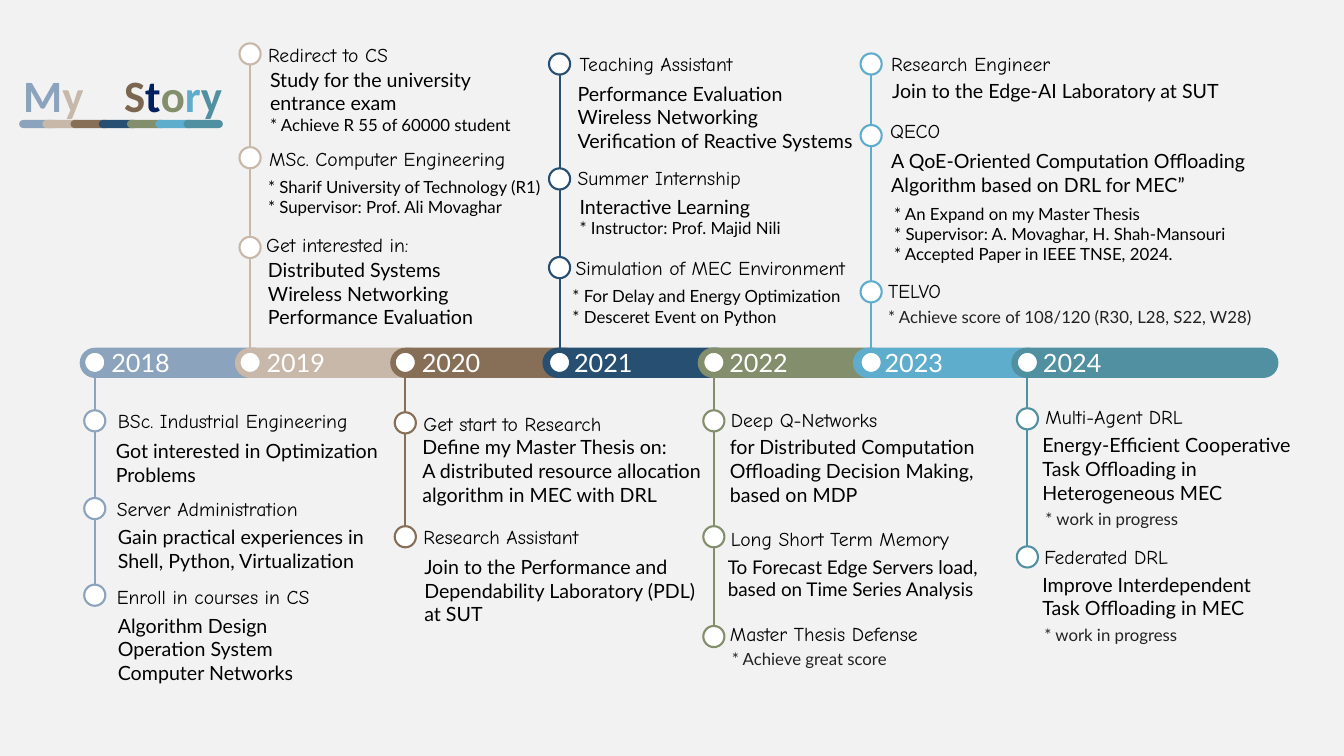
"""Build the "My Story" timeline slide."""
from itertools import pairwise
from pptx import Presentation
from pptx import util as u
from pptx.dml.color import RGBColor
from pptx.enum import shapes, text
from pptx.oxml import parse_xml

BACK, WHITE, BLACK, GREY = "F2F2F2", "FFFFFF", "000000", "222222"
TITLE = [("M", "8CA3BD"), ("y\t", "C7B8AA"), ("S", "7B6650"), ("t", "002060"),
         ("o", "838E6C"), ("r", "5FADCD"), ("y", "5190A1")]

# Year: name, colour, bar left, bar width, dot centre, events.
# Event: dot top, heading left, heading top, heading, bodies.
# Body: left, top, width, height, lines, and a size if not 14.
YEARS = [
    ("2018", "8CA3BD", 0.79, 1.89, 0.94, [
        (4.07, 1.07, 4.01, "BSc. Industrial Engineering", [
            (1.05, 4.31, 2.85, 0.57, ["Got interested in Optimization Problems"])]),
        (4.94, 1.06, 4.88, "Server Administration", [
            (1.07, 5.16, 2.75, 0.57,
             ["Gain practical experiences in Shell, Python, Virtualization"])]),
        (5.8, 1.06, 5.75, "Enroll in courses in CS", [
            (1.07, 6.04, 2.75, 0.81,
             ["Algorithm Design", "Operation System", "Computer Networks"])])]),
    ("2019", "C7B8AA", 2.33, 1.89, 2.48, [
        (0.43, 2.56, 0.38, "Redirect to CS", [
            (2.58, 0.62, 2.85, 0.77, ["Study for the university entrance exam",
                                      "* Achieve R 55 of 60000 student"])]),
        (1.46, 2.57, 1.41, "MSc. Computer Engineering", [
            (2.56, 1.7, 2.95, 0.5, ["* Sharif University of Technology (R1)",
                                    "* Supervisor: Prof. Ali Movaghar"])]),
        (2.35, 2.54, 2.26, "Get interested in:", [
            (2.56, 2.51, 2.27, 0.81, ["Distributed Systems", "Wireless Networking",
                                      "Performance Evaluation"])])]),
    ("2020", "876F57", 3.87, 1.89, 4.02, [
        (4.09, 4.1, 4.04, "Get start to Research", [
            (4.09, 4.27, 3.01, 0.81,
             ["Define my Master Thesis on:",
              "A distributed resource allocation algorithm in MEC with DRL"])]),
        (5.22, 4.1, 5.16, "Research Assistant", [
            (4.11, 5.46, 3.01, 0.81,
             ["Join to the Performance and Dependability Laboratory (PDL) at SUT"])])]),
    ("2021", "264F72", 5.38, 1.89, 5.55, [
        (0.53, 5.65, 0.47, "Teaching Assistant", [
            (5.63, 0.76, 2.94, 0.81, ["Performance Evaluation", "Wireless Networking",
                                      "Verification of Reactive Systems"])]),
        (1.67, 5.63, 1.6, "Summer Internship", [
            (5.65, 1.88, 2.89, 0.54, ["Interactive Learning",
                                      "* Instructor: Prof. Majid Nili"])]),
        (2.55, 5.61, 2.49, "Simulation of MEC Environment", [
            (5.58, 2.79, 2.97, 0.5, ["* For Delay and Energy Optimization",
                                     "* Desceret Event on Python"])])]),
    ("2022", "838E6C", 6.92, 1.89, 7.08, [
        (4.07, 7.15, 4, "Deep Q-Networks", [
            (7.14, 4.27, 2.89, 0.81,
             ["for Distributed Computation Offloading Decision Making,",
              "based on MDP"])]),
        (5.22, 7.15, 5.18, "Long Short Term Memory", [
            (7.12, 5.46, 2.84, 0.56,
             ["To Forecast Edge Servers load, based on Time Series Analysis"], 13.5)]),
        (6.21, 7.14, 6.12, "Master Thesis Defense", [
            (7.16, 6.39, 1.81, 0.3, ["* Achieve great score"])])]),
    ("2023", "5FADCD", 8.46, 1.89, 8.64, [
        (0.53, 8.74, 0.47, "Research Engineer", [
            (8.75, 0.73, 4.17, 0.34, ["Join to the Edge-AI Laboratory at SUT"])]),
        (1.24, 8.73, 1.13, "QECO", [
            (8.74, 1.43, 3.83, 0.57,
             ["A QoE-Oriented Computation Offloading Algorithm based on DRL for MEC”"]),
            (8.77, 1.97, 3.63, 0.71, ["* An Expand on my Master Thesis",
                                      "* Supervisor: A. Movaghar, H. Shah-Mansouri",
                                      "* Accepted Paper in IEEE TNSE, 2024."])]),
        (2.79, 8.71, 2.72, "TELVO", [
            (8.71, 2.99, 3.86, 0.3,
             ["* Achieve score of 108/120 (R30, L28, S22, W28)"])])]),
    ("2024", "5190A1", 10.03, 2.65, 10.19, [
        (4.05, 10.27, 3.97, "Multi-Agent DRL", [
            (10.24, 4.25, 3.01, 0.81,
             ["Energy-Efficient Cooperative Task Offloading in Heterogeneous MEC"]),
            (10.27, 5, 1.61, 0.3, ["* work in progress"])]),
        (5.42, 10.26, 5.36, "Federated DRL", [
            (10.24, 5.63, 2.33, 0.57, ["Improve Interdependent",
                                       "Task Offloading in MEC"]),
            (10.26, 6.15, 1.61, 0.3, ["* work in progress"])])]),
]
AXIS, DOT = 3.49, 0.21
EMPTY = '<a:effectLst xmlns:a="http://schemas.openxmlformats.org/drawingml/2006/main"/>'
KIND = shapes.MSO_SHAPE


def rgb(hue):
    return RGBColor.from_string(hue)


def inch(*nums):
    return [u.Inches(n) for n in nums]


def style(run, hue, **form):
    form["size"] = u.Pt(form["size"])
    for key, val in form.items():
        setattr(run.font, key, val)
    run.font.color.rgb = rgb(hue)


def draw(home, kind, box, hue, edge=None):
    shape = home.add_shape(kind, *inch(*box))
    shape.shadow.inherit = False
    shape.fill.solid()
    shape.fill.fore_color.rgb = rgb(hue)
    if edge:
        shape.line.color.rgb = rgb(edge)
        shape.line.width = u.Pt(1.5)
    else:
        shape.line.fill.background()
    if kind == KIND.ROUNDED_RECTANGLE:
        shape.adjustments[0] = 0.5
    return shape


def link(home, x, top, end, hue):
    line = home.add_connector(shapes.MSO_CONNECTOR.STRAIGHT, *inch(x, top, x, end))
    line.line.color.rgb = rgb(hue)
    line.line.width = u.Pt(1.5)
    line._element.spPr.append(parse_xml(EMPTY))


def write(home, box, lines, face, size=14):
    frame = home.add_textbox(*inch(*box)).text_frame
    frame.word_wrap = True
    frame.auto_size = text.MSO_AUTO_SIZE.SHAPE_TO_FIT_TEXT
    lone = len(lines) == 1 and lines[0].startswith("*")
    for i, line in enumerate(lines):
        para = frame.add_paragraph() if i else frame.paragraphs[0]
        run = para.add_run()
        run.text = line
        style(run, GREY if lone else BLACK, name=face,
              size=12 if line.startswith("*") else size)


def head(slide):
    title = slide.shapes.title
    spot = dict(zip(("left", "top", "width", "height"), inch(0.13, 0.62, 2.21, 1.18)))
    for key, val in spot.items():
        setattr(title, key, val)
    frame = title.text_frame
    frame.vertical_anchor = text.MSO_ANCHOR.TOP
    frame.auto_size = text.MSO_AUTO_SIZE.NONE
    para = frame.paragraphs[0]
    para.alignment = text.PP_ALIGN.LEFT
    for part, hue in TITLE:
        run = para.add_run()
        run.text = part
        style(run, hue, name="Calibri", size=32, bold=True)
    group = slide.shapes.add_group_shape()
    for i, (_, hue, *_) in enumerate(YEARS):
        left = max(0.19, 0.14 + 0.28 * i)
        draw(group.shapes, KIND.ROUNDED_RECTANGLE, (left, 1.19, 0.39, 0.08), hue)


def column(home, name, hue, left, wide, mid, events):
    bar = draw(home, KIND.ROUNDED_RECTANGLE, (left, 3.45, wide, 0.3), hue)
    frame = bar.text_frame
    frame.margin_left = u.Inches(0.27)
    frame.vertical_anchor = text.MSO_ANCHOR.MIDDLE
    para = frame.paragraphs[0]
    para.alignment = text.PP_ALIGN.LEFT
    run = para.add_run()
    run.text = name
    style(run, WHITE, name="Lato", size=18)
    tops = sorted([AXIS] + [event[0] for event in events])
    for top, end in pairwise(tops):
        link(home, mid, top + DOT, end, hue)
    for top in tops:
        draw(home, KIND.OVAL, (mid - DOT / 2, top, DOT, DOT), WHITE, hue)
    for _, x, y, label, bodies in events:
        write(home, (x, y, 0.35 + 0.1 * len(label), 0.34), [label], "Comic Neue")
        for *box, lines, size in [b if len(b) == 6 else (*b, 14) for b in bodies]:
            write(home, box, lines, "Lato", size)


def main():
    deck = Presentation()
    deck.slide_width, deck.slide_height = inch(13.33, 7.5)
    slide = deck.slides.add_slide(deck.slide_layouts[5])
    slide.background.fill.solid()
    slide.background.fill.fore_color.rgb = rgb(BACK)
    head(slide)
    for year in YEARS:
        column(slide.shapes, *year)
    deck.save("out.pptx")


if __name__ == "__main__":
    main()
